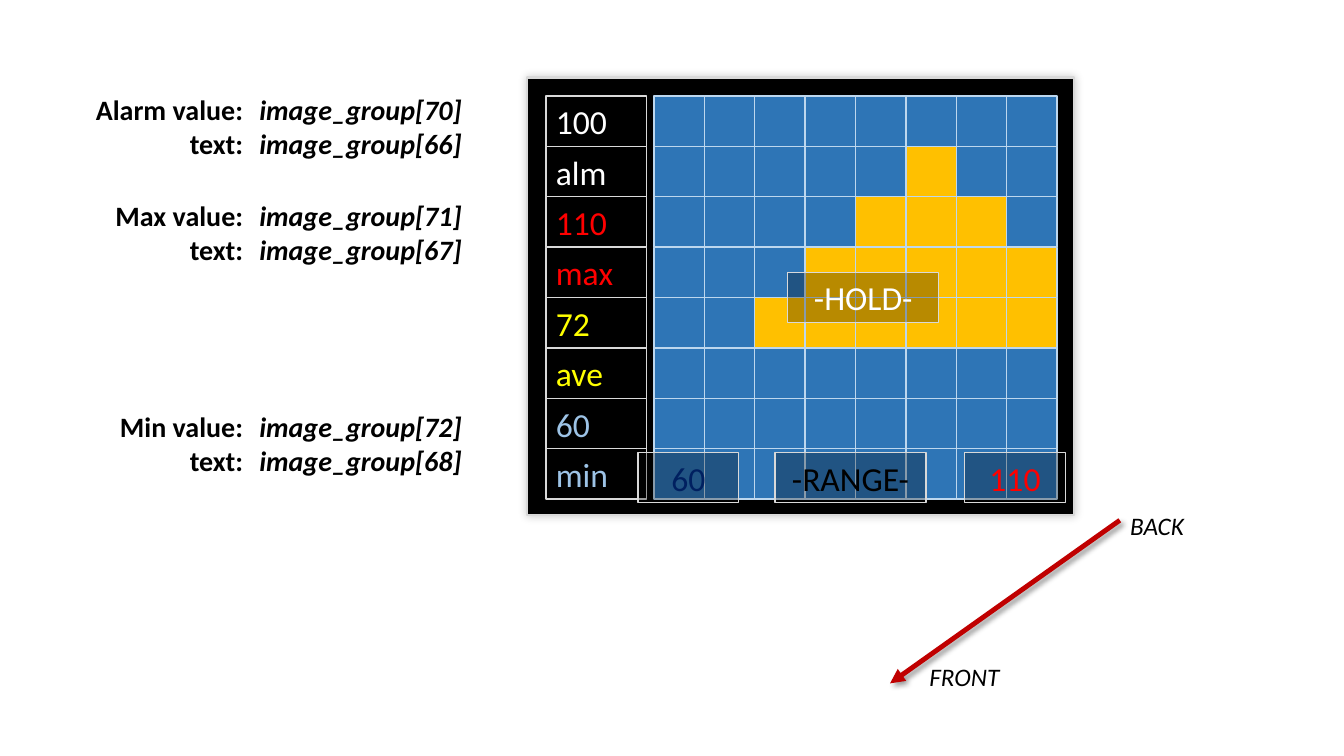
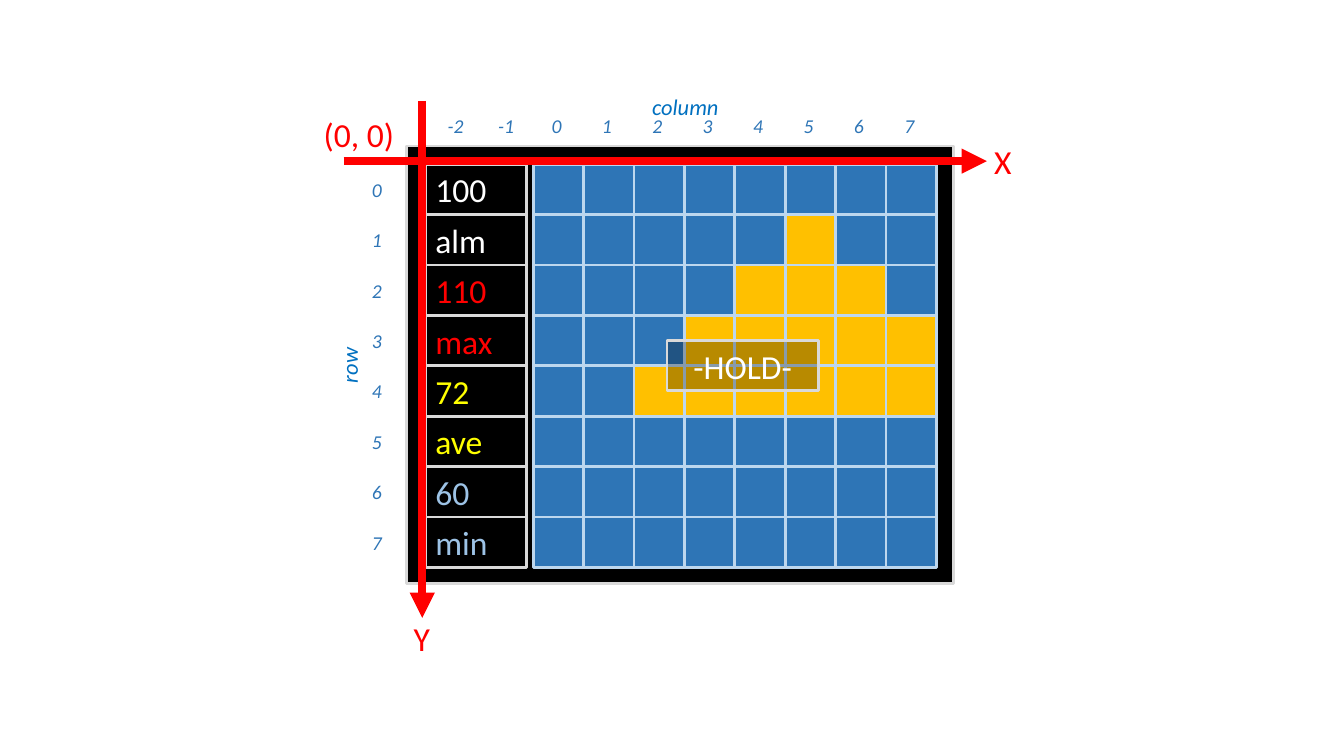
from dataclasses import dataclass
from typing import Optional, Sequence

from lxml.etree import SubElement
from pptx import Presentation
from pptx.dml.color import RGBColor
from pptx.enum.shapes import MSO_CONNECTOR, MSO_SHAPE
from pptx.enum.text import MSO_ANCHOR, MSO_AUTO_SIZE, PP_ALIGN
from pptx.oxml.ns import qn
from pptx.shapes.autoshape import Shape
from pptx.slide import Slide
from pptx.text.text import TextFrame
from pptx.util import Cm, Pt


# Theme: colours, type sizes and font
@dataclass(frozen=True)
class Theme:
    font: str = "Calibri"
    black: str = "000000"
    white: str = "FFFFFF"
    red: str = "FF0000"
    dark_red: str = "C00000"
    yellow: str = "FFFF00"
    pale_blue: str = "9DC3E6"
    navy: str = "002060"
    cold: str = "2E75B6"
    hot: str = "FFC000"
    cell_line: str = "BDD7EE"
    frame_line: str = "D9D9D9"
    heading_blue: str = "0070C0"
    reading: int = 24
    note: int = 20
    depth: int = 18
    heading: int = 16
    index: int = 14


THEME = Theme()


@dataclass(frozen=True)
class TextStyle:
    size: int
    color: str
    bold: bool = False
    italic: bool = False


@dataclass(frozen=True)
class Box:
    """Position and size in centimetres."""
    left: float
    top: float
    width: float
    height: float


@dataclass(frozen=True)
class Shadow:
    """Opacity in percent, blur and distance in points, direction in degrees."""
    opacity: int
    blur: int
    distance: int
    direction: int


@dataclass(frozen=True)
class Look:
    fill: str
    line: Optional[str] = None
    weight: float = 1
    opacity: int = 100
    shadow: Optional[Shadow] = None


@dataclass(frozen=True)
class Display:
    left: float
    top: float
    line_weight: float
    label_opacities: tuple[int, int]
    shadow: Optional[Shadow] = None


@dataclass(frozen=True)
class Reading:
    text: str
    color: str


@dataclass(frozen=True)
class Overlay:
    text: str
    color: str
    box: Box


@dataclass(frozen=True)
class Arrow:
    start: tuple[float, float]
    end: tuple[float, float]
    color: str
    weight: float
    shadow: Optional[Shadow] = None


@dataclass(frozen=True)
class Caption:
    lines: tuple[str, ...]
    box: Box
    style: TextStyle
    align: PP_ALIGN = PP_ALIGN.CENTER
    upward: bool = False


@dataclass(frozen=True)
class GroupNote:
    name: str
    top: float
    width: float
    value_index: int
    text_index: int


# Display layout, in centimetres from the corner of the display
CELL = 1.27
GRID_COUNT = 8
GRID_LEFT, GRID_TOP = 3.2, 0.46
LABEL_LEFT = 0.48
HOLD_LEFT, HOLD_TOP = 6.57, 4.9
HOT_COLUMNS = {1: range(5, 6), 2: range(4, 7), 3: range(3, 8), 4: range(2, 8)}
READINGS = (
    Reading("100", THEME.white), Reading("alm", THEME.white),
    Reading("110", THEME.red), Reading("max", THEME.red),
    Reading("72", THEME.yellow), Reading("ave", THEME.yellow),
    Reading("60", THEME.pale_blue), Reading("min", THEME.pale_blue),
)

# Layer order slide
LAYERS = Display(13.28, 1.96, 1, (57, 55), Shadow(20, 6, 0, 315))
RANGE_TOP = 11.4
RANGE_BAR = (
    Overlay("60", THEME.navy, Box(16.08, RANGE_TOP, 2 * CELL, CELL)),
    Overlay("-RANGE-", THEME.black, Box(19.53, RANGE_TOP, 3 * CELL, CELL)),
    Overlay("110", THEME.red, Box(24.31, RANGE_TOP, 2 * CELL, CELL)),
)
DEPTH_ARROW = Arrow((28.22, 13.11), (22.43, 17.22), THEME.dark_red, 3.5,
                    Shadow(40, 4, 3, 45))
DEPTH_STYLE = TextStyle(THEME.depth, THEME.black, italic=True)
DEPTH_CAPTIONS = (
    Caption(("BACK",), Box(28.22, 12.73, 1.88, 1.02), DEPTH_STYLE),
    Caption(("FRONT",), Box(23.16, 16.54, 2.29, 1.02), DEPTH_STYLE),
)
NOTE_RIGHT, NOTE_HEIGHT = 6.38, 1.96
GROUP_LEFT, GROUP_WIDTH = 6.25, 5.64
NOTE_STYLE = TextStyle(THEME.note, THEME.black, bold=True)
GROUP_STYLE = TextStyle(THEME.note, THEME.black, bold=True, italic=True)
GROUP_NOTES = (
    GroupNote("Alarm", 2.21, 4.27, 70, 66),
    GroupNote("Max", 4.88, 3.76, 71, 67),
    GroupNote("Min", 10.2, 3.66, 72, 68),
)

# Coordinate slide
COORDINATES = Display(10.24, 3.68, 2, (100, 100))
COLUMN_INDEX_TOP, ROW_INDEX_LEFT = 2.54, 8.86
INDEX_STYLE = TextStyle(THEME.index, THEME.cold, italic=True)
HEADING_STYLE = TextStyle(THEME.heading, THEME.heading_blue, italic=True)
AXIS_STYLE = TextStyle(THEME.reading, THEME.red)
HEADINGS = (
    Caption(("column",), Box(16.15, 2.21, 2.24, 0.94), HEADING_STYLE),
    Caption(("row",), Box(8.33, 8.64, 1.19, 1.14), HEADING_STYLE, upward=True),
)
AXES = (
    Arrow((8.66, 4.06), (24.87, 4.06), THEME.red, 6),
    Arrow((10.64, 2.54), (10.64, 15.57), THEME.red, 6),
)
AXIS_CAPTIONS = (
    Caption(("X",), Box(24.79, 3.43, 0.97, 1.27), AXIS_STYLE),
    Caption(("Y",), Box(10.16, 15.44, 0.94, 1.27), AXIS_STYLE),
    Caption(("(0, 0)",), Box(7.9, 2.74, 2.29, 1.27), AXIS_STYLE),
)


# Drawing helpers
def lengths(box: Box) -> tuple[Cm, Cm, Cm, Cm]:
    return Cm(box.left), Cm(box.top), Cm(box.width), Cm(box.height)


def set_shadow(properties, shadow: Optional[Shadow]) -> None:
    effects = properties.find(qn("a:effectLst"))
    if effects is None:
        effects = SubElement(properties, qn("a:effectLst"))
    if shadow:
        outer = SubElement(effects, qn("a:outerShdw"),
                           blurRad=str(Pt(shadow.blur)), dist=str(Pt(shadow.distance)),
                           dir=str(shadow.direction * 60000), rotWithShape="0")
        color = SubElement(outer, qn("a:srgbClr"), val=THEME.black)
        SubElement(color, qn("a:alpha"), val=str(shadow.opacity * 1000))


def write(frame: TextFrame, lines: Sequence[str], style: TextStyle, align: PP_ALIGN) -> None:
    frame.text = "\n".join(lines)
    for paragraph in frame.paragraphs:
        paragraph.alignment = align
        for run in paragraph.runs:
            run.font.name = THEME.font
            run.font.size = Pt(style.size)
            run.font.bold = style.bold
            run.font.italic = style.italic
            run.font.color.rgb = RGBColor.from_string(style.color)


def draw_rectangle(slide: Slide, box: Box, look: Look) -> Shape:
    rectangle = slide.shapes.add_shape(MSO_SHAPE.RECTANGLE, *lengths(box))
    rectangle.fill.solid()
    rectangle.fill.fore_color.rgb = RGBColor.from_string(look.fill)
    if look.opacity < 100:
        color = rectangle._element.spPr.find(qn("a:solidFill"))[0]
        SubElement(color, qn("a:alpha"), val=str(look.opacity * 1000))
    if look.line:
        rectangle.line.color.rgb = RGBColor.from_string(look.line)
        rectangle.line.width = Pt(look.weight)
    else:
        rectangle.line.fill.background()
    rectangle.shadow.inherit = False
    set_shadow(rectangle._element.spPr, look.shadow)
    return rectangle


def draw_label(slide: Slide, box: Box, look: Look, text: str, style: TextStyle,
               align: PP_ALIGN = PP_ALIGN.CENTER) -> None:
    frame = draw_rectangle(slide, box, look).text_frame
    frame.vertical_anchor = MSO_ANCHOR.MIDDLE
    write(frame, (text,), style, align)


def draw_overlay(slide: Slide, overlay: Overlay, line_weight: float) -> None:
    draw_label(slide, overlay.box, Look(THEME.black, THEME.frame_line, line_weight, 28),
               overlay.text, TextStyle(THEME.reading, overlay.color))


def draw_caption(slide: Slide, caption: Caption) -> None:
    frame = slide.shapes.add_textbox(*lengths(caption.box)).text_frame
    frame.word_wrap = False
    frame.auto_size = MSO_AUTO_SIZE.SHAPE_TO_FIT_TEXT
    if caption.upward:
        frame._txBody.bodyPr.set("vert", "vert270")
    write(frame, caption.lines, caption.style, caption.align)


def draw_arrow(slide: Slide, arrow: Arrow) -> None:
    connector = slide.shapes.add_connector(
        MSO_CONNECTOR.STRAIGHT, *(Cm(value) for value in arrow.start + arrow.end))
    connector.line.color.rgb = RGBColor.from_string(arrow.color)
    connector.line.width = Pt(arrow.weight)
    properties = connector._element.spPr
    SubElement(properties.find(qn("a:ln")), qn("a:tailEnd"), type="triangle")
    set_shadow(properties, arrow.shadow)


def draw_display(slide: Slide, display: Display) -> None:
    left, top, weight = display.left, display.top, display.line_weight
    draw_rectangle(slide, Box(left, top, 13.79, 11.02),
                   Look(THEME.black, THEME.frame_line, 2, shadow=display.shadow))
    # Heat grid
    for column in range(GRID_COUNT):
        for row in range(GRID_COUNT):
            fill = THEME.hot if column in HOT_COLUMNS.get(row, ()) else THEME.cold
            cell = Box(left + GRID_LEFT + column * CELL, top + GRID_TOP + row * CELL, CELL, CELL)
            draw_rectangle(slide, cell, Look(fill, THEME.cell_line, weight))
    # Readings
    for row, reading in enumerate(READINGS):
        box = Box(left + LABEL_LEFT, top + GRID_TOP + row * CELL, 2 * CELL, CELL)
        look = Look(THEME.black, THEME.frame_line, weight, display.label_opacities[row % 2])
        draw_label(slide, box, look, reading.text,
                   TextStyle(THEME.reading, reading.color), PP_ALIGN.LEFT)
    hold_box = Box(left + HOLD_LEFT, top + HOLD_TOP, 3 * CELL, CELL)
    draw_overlay(slide, Overlay("-HOLD-", THEME.white, hold_box), weight)


# Slides
def build_layers(slide: Slide) -> None:
    draw_display(slide, LAYERS)
    for overlay in RANGE_BAR:
        draw_overlay(slide, overlay, LAYERS.line_weight)
    draw_arrow(slide, DEPTH_ARROW)
    for caption in DEPTH_CAPTIONS:
        draw_caption(slide, caption)
    for note in GROUP_NOTES:
        name_box = Box(NOTE_RIGHT - note.width, note.top, note.width, NOTE_HEIGHT)
        group_box = Box(GROUP_LEFT, note.top, GROUP_WIDTH, NOTE_HEIGHT)
        groups = tuple(f"image_group[{i}]" for i in (note.value_index, note.text_index))
        draw_caption(slide, Caption((f"{note.name} value:", "text:"), name_box,
                                    NOTE_STYLE, PP_ALIGN.RIGHT))
        draw_caption(slide, Caption(groups, group_box, GROUP_STYLE, PP_ALIGN.RIGHT))


def build_coordinates(slide: Slide) -> None:
    grid_left, grid_top = COORDINATES.left + GRID_LEFT, COORDINATES.top + GRID_TOP
    for column in range(-2, GRID_COUNT):
        box = Box(grid_left - 0.05 + column * CELL, COLUMN_INDEX_TOP, CELL, CELL)
        draw_label(slide, box, Look(THEME.white), str(column), INDEX_STYLE)
    for row in range(GRID_COUNT):
        box = Box(ROW_INDEX_LEFT, grid_top + row * CELL, CELL, CELL)
        draw_label(slide, box, Look(THEME.white), str(row), INDEX_STYLE)
    for heading in HEADINGS:
        draw_caption(slide, heading)
    draw_display(slide, COORDINATES)
    for axis in AXES:
        draw_arrow(slide, axis)
    for caption in AXIS_CAPTIONS:
        draw_caption(slide, caption)


def main() -> None:
    deck = Presentation()
    deck.slide_width, deck.slide_height = Cm(33.87), Cm(19.05)
    for build in (build_layers, build_coordinates):
        build(deck.slides.add_slide(deck.slide_layouts[6]))
    deck.save("out.pptx")


if __name__ == "__main__":
    main()
